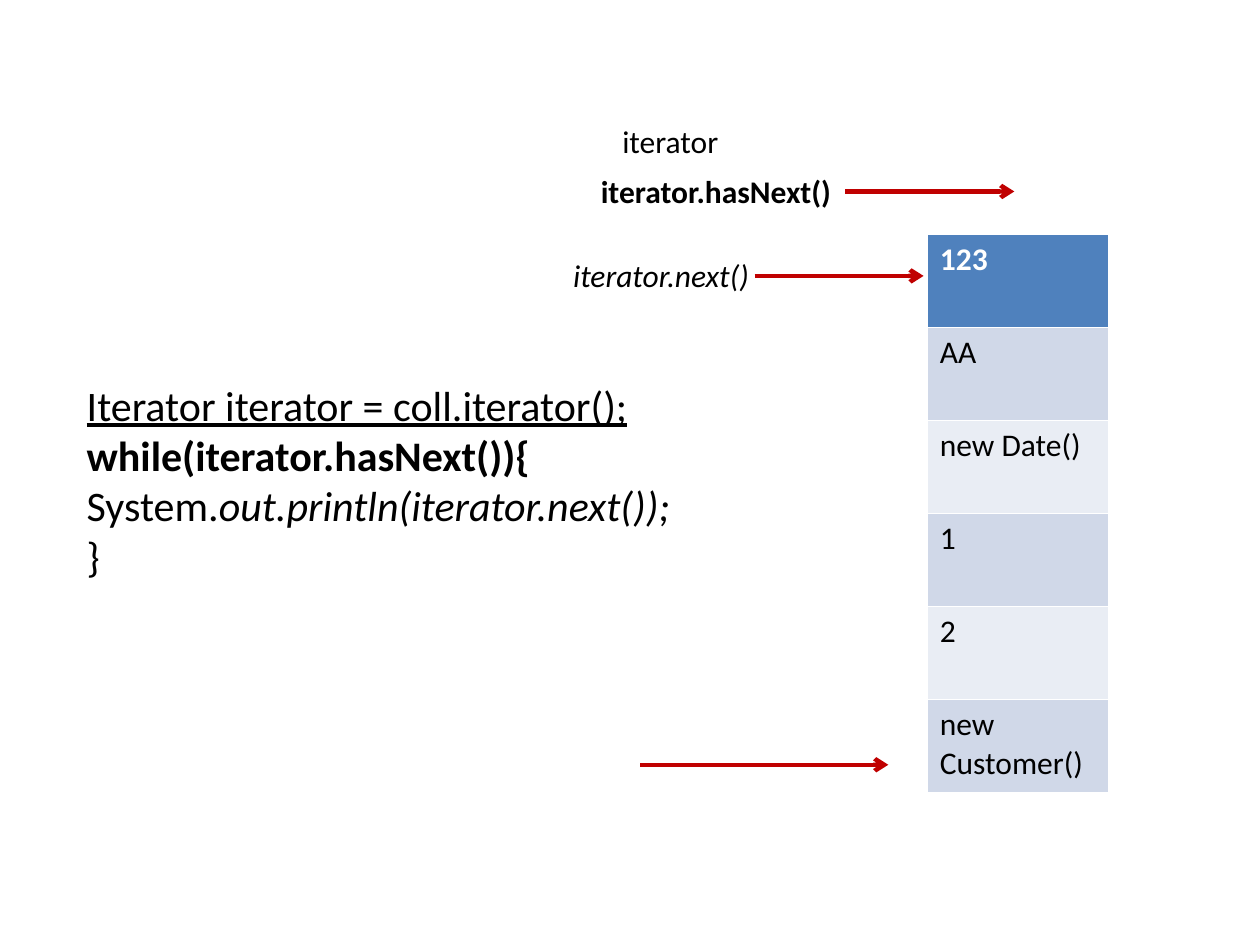
from lxml import etree
from pptx import Presentation
from pptx.dml.color import RGBColor
from pptx.enum.shapes import MSO_CONNECTOR
from pptx.enum.text import MSO_AUTO_SIZE
from pptx.oxml.ns import qn
from pptx.util import Inches, Pt

STRAIGHT = MSO_CONNECTOR.STRAIGHT
FIT_SHAPE = MSO_AUTO_SIZE.SHAPE_TO_FIT_TEXT
COLORS = {"text": "000000", "header_text": "FFFFFF", "header": "4F81BD",
          "odd_row": "D0D8E8", "even_row": "E9EDF4", "arrow": "C00000"}
FONT = "Calibri"
# The slide is a grid of 100 columns by 75 rows
COLUMNS, ROWS = 100, 75
UNIT = Inches(10) // COLUMNS


def grid(*values):
    return [round(value * UNIT) for value in values]


def color(name):
    return RGBColor.from_string(COLORS[name])


def style(para, size, color_name="text", bold=False, italic=False, underline=False):
    font = para.font
    font.name, font.size = FONT, Pt(size)
    font.bold, font.italic, font.underline = bold, italic, underline
    font.color.rgb = color(color_name)


def add_text_frame(page, box, wrap):
    frame = page.shapes.add_textbox(*grid(*box)).text_frame
    frame.word_wrap = wrap
    frame.auto_size = FIT_SHAPE
    return frame


def add_label(page, box, text, wrap=False, **look):
    para = add_text_frame(page, box, wrap).paragraphs[0]
    para.text = text
    style(para, 18, **look)


def add_arrow(page, left, top, length):
    arrow = page.shapes.add_connector(STRAIGHT, *grid(left, top, left + length, top))
    arrow.line.color.rgb = color("arrow")
    arrow.line.width = Pt(2.5)
    etree.SubElement(arrow.line._get_or_add_ln(), qn("a:tailEnd"), type="arrow")
    etree.SubElement(arrow._element.spPr, qn("a:effectLst"))


def add_collection(page, box, items):
    left, top, width, height = box
    table = page.shapes.add_table(len(items), 1, *grid(*box)).table
    table.columns[0].width = grid(width)[0]
    for index, item in enumerate(items):
        table.rows[index].height = grid(height / len(items))[0]
        cell = table.cell(index, 0)
        cell.text = item
        header = index == 0
        fill = "header" if header else "odd_row" if index % 2 else "even_row"
        cell.fill.solid()
        cell.fill.fore_color.rgb = color(fill)
        style(cell.text_frame.paragraphs[0], 18,
              "header_text" if header else "text", bold=header)


def add_code(page, box, lines):
    frame = add_text_frame(page, box, True)
    for index, (spans, look) in enumerate(lines):
        para = frame.add_paragraph() if index else frame.paragraphs[0]
        style(para, 24, **look)
        for text, italic in spans:
            span = para.add_run()
            span.text = text
            if italic:
                span.font.italic = True


def add_calls(page, box):
    left, top, width, height = box
    arrow_length = 13.4
    add_label(page, (left + 3.9, top, 16.9, 4), "iterator", wrap=True)
    # Check for a next element
    add_label(page, (left + 2.2, top + 4, 20.4, 4), "iterator.hasNext()", bold=True)
    add_arrow(page, left + 22.6, top + 6, arrow_length)
    # Step to the next element
    add_label(page, (left, top + 10.6, 16.1, 4), "iterator.next()", italic=True)
    add_arrow(page, left + 15.4, top + 12.7, arrow_length)
    # Last element
    add_arrow(page, left + 6.3, top + height, 19.7)


def main():
    deck = Presentation()
    deck.slide_width, deck.slide_height = grid(COLUMNS, ROWS)
    page = deck.slides.add_slide(deck.slide_layouts[6])
    add_collection(page, (73.6, 18.6, 14.4, 44.3),
                   ["123", "AA", "new Date()", "1", "2", "new Customer()"])
    add_code(page, (5.9, 29.6, 49.6, 17.2), [
        ([("Iterator iterator = coll.iterator();", False)], {"underline": True}),
        ([("while(iterator.hasNext()){", False)], {"bold": True}),
        ([("System.", False), ("out.println(iterator.next());", True)], {}),
        ([("}", False)], {}),
    ])
    add_calls(page, (44.5, 9.2, 36, 51.5))
    deck.save("out.pptx")


if __name__ == "__main__":
    main()
